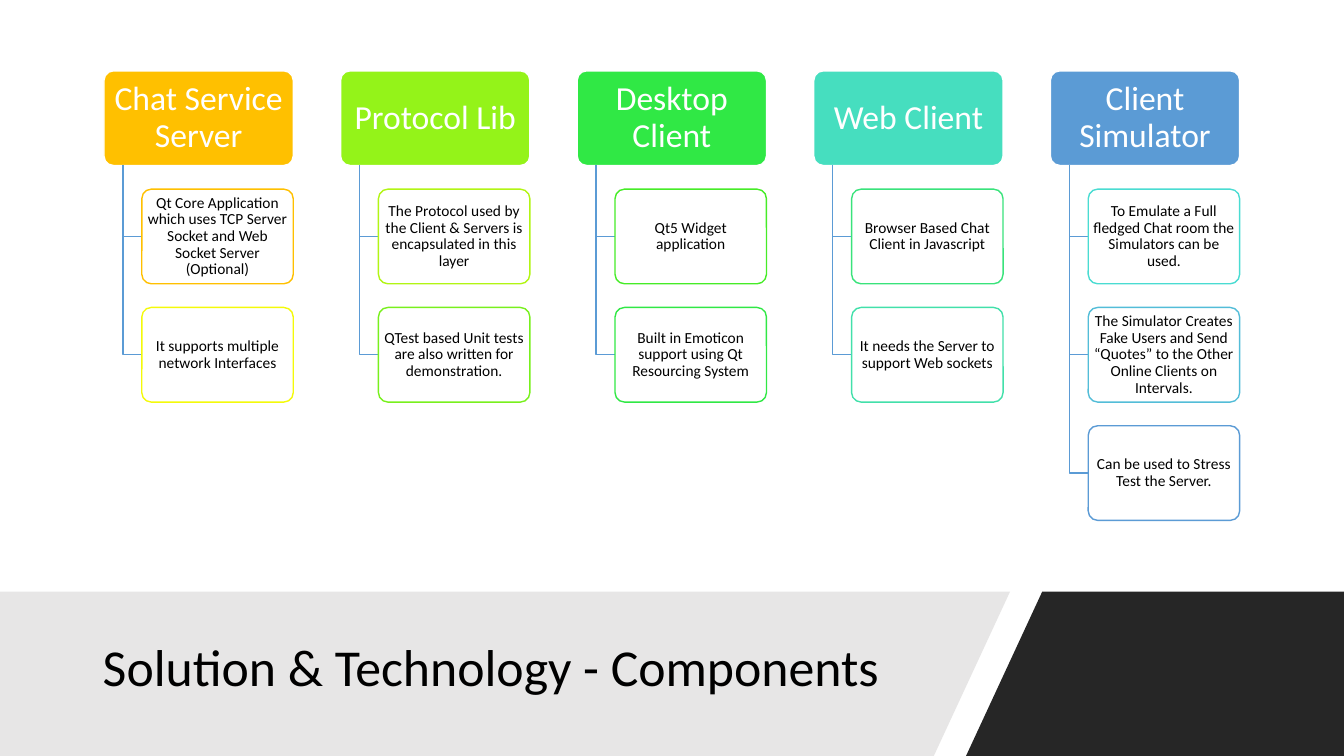
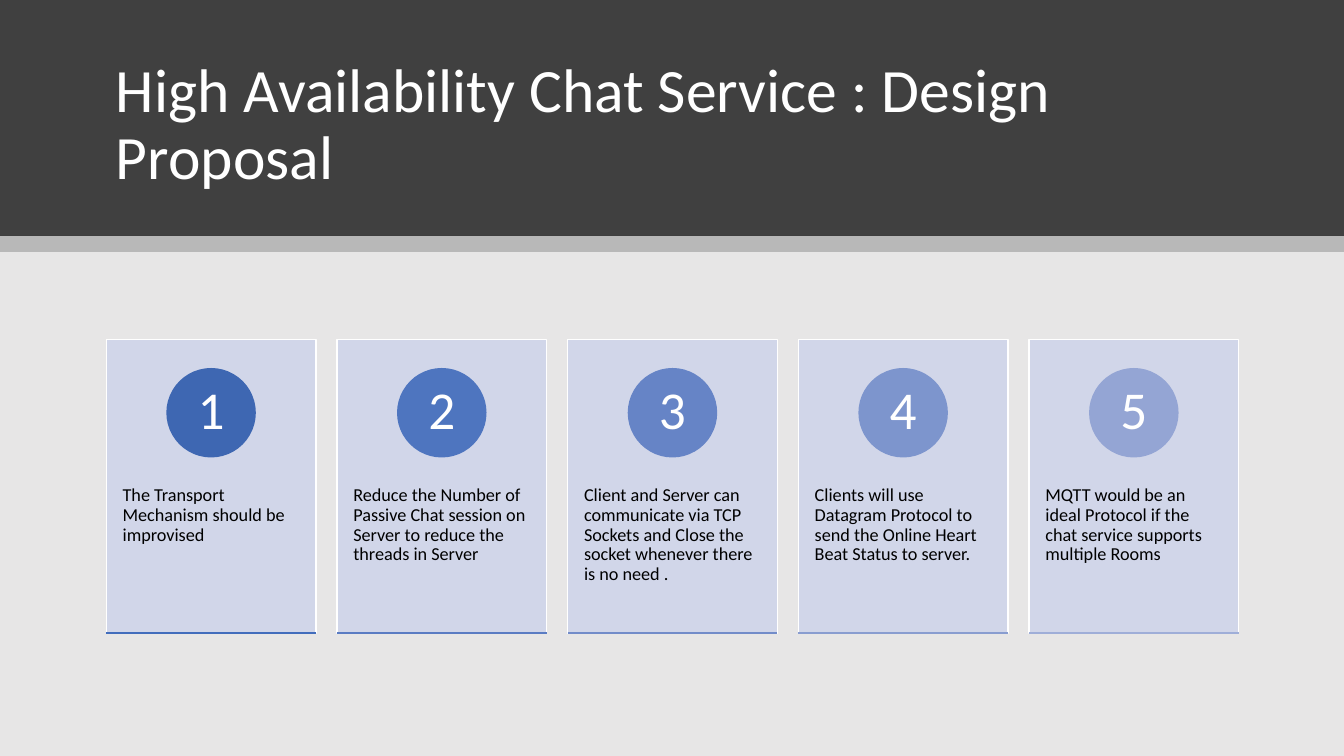
from lxml import etree
from pptx import Presentation
from pptx.dml.color import RGBColor
from pptx.enum.shapes import MSO_CONNECTOR, MSO_SHAPE
from pptx.enum.text import MSO_ANCHOR, MSO_AUTO_SIZE, PP_ALIGN
from pptx.oxml.ns import qn
from pptx.util import Pt

LEFT, CENTER = PP_ALIGN.LEFT, PP_ALIGN.CENTER
TOP, MIDDLE, BOTTOM = MSO_ANCHOR.TOP, MSO_ANCHOR.MIDDLE, MSO_ANCHOR.BOTTOM
NO_FIT = MSO_AUTO_SIZE.NONE
RECT, ROUND, OVAL = MSO_SHAPE.RECTANGLE, MSO_SHAPE.ROUNDED_RECTANGLE, MSO_SHAPE.OVAL
STRAIGHT = MSO_CONNECTOR.STRAIGHT

W, H = 960, 540
FONT = "Calibri"
WHITE, BLACK = "FFFFFF", "000000"
GRAY, DARK, CHARCOAL = "E7E6E6", "262626", "404040"
STEM, CARD = "5B9BD5", "CFD5EA"

COMPONENTS = [
    ("Chat Service Server", "FFC000", [
        ("Qt Core Application which uses TCP Server Socket and Web Socket Server (Optional)", "FFC000"),
        ("It supports multiple network Interfaces", "F4FA0A")]),
    ("Protocol Lib", "94F319", [
        ("The Protocol used by the Client & Servers is encapsulated in this layer", "B2F514"),
        ("QTest based Unit tests are also written for demonstration.", "78F01D")]),
    ("Desktop Client", "30E845", [
        ("Qt5 Widget application", "46EC27"),
        ("Built in Emoticon support using Qt Resourcing System", "30E845")]),
    ("Web Client", "46DEBF", [
        ("Browser Based Chat Client in Javascript", "39E37B"),
        ("It needs the Server to support Web sockets", "42E0AA")]),
    ("Client Simulator", "5B9BD5", [
        ("To Emulate a Full fledged Chat room the Simulators can be used.", "4ADCD2"),
        ("The Simulator Creates Fake Users and Send “Quotes” to the Other Online Clients on Intervals.", "53BDD8"),
        ("Can be used to Stress Test the Server.", "5B9BD5")]),
]

PROPOSALS = [
    ("The Transport Mechanism should be improvised", "3E67B2", "426DBC"),
    ("Reduce the Number of Passive Chat session on Server to reduce the threads in Server", "4E75BF", "5A7CC3"),
    ("Client and Server can communicate via TCP Sockets and Close the socket whenever there is no need .",
     "6684C6", "728CC9"),
    ("Clients will use Datagram Protocol to send the Online Heart Beat Status to server.", "7D95CD", "899DD0"),
    ("MQTT would be an ideal Protocol if the chat service supports multiple Rooms", "94A5D4", "9FAED8"),
]


def rgb(value):
    return RGBColor.from_string(value)


def paint(sp, fill=None, line=None, alpha=None):
    sp.shadow.inherit = False
    if fill:
        sp.fill.solid()
        sp.fill.fore_color.rgb = rgb(fill)
        if alpha:
            color = sp.element.spPr.find(qn("a:solidFill"))[0]
            etree.SubElement(color, qn("a:alpha")).set("val", str(alpha * 1000))
    else:
        sp.fill.background()
    if line:
        sp.line.color.rgb = rgb(line)
        sp.line.width = Pt(1)
    else:
        sp.line.fill.background()


def add_box(s, kind, x, y, w, h, **style):
    sp = s.shapes.add_shape(kind, Pt(x), Pt(y), Pt(w), Pt(h))
    if kind == ROUND:
        sp.adjustments[0] = 0.1
    paint(sp, **style)
    return sp


def add_path(s, points, closed, **style):
    start, *rest = [(Pt(x), Pt(y)) for x, y in points]
    builder = s.shapes.build_freeform(*start)
    builder.add_line_segments(rest, close=closed)
    paint(builder.convert_to_shape(), **style)


def add_rule(s, x1, x2, y, color):
    sp = s.shapes.add_connector(STRAIGHT, Pt(x1), Pt(y), Pt(x2), Pt(y))
    sp.line.color.rgb = rgb(color)
    sp.line.width = Pt(1)
    etree.SubElement(sp.element.spPr, qn("a:effectLst"))


def write(sp, text, size, color=BLACK, align=CENTER, anchor=MIDDLE, insets=(7.2, 3.6, 7.2, 3.6)):
    tf = sp.text_frame
    tf.word_wrap = True
    tf.auto_size = NO_FIT
    tf.vertical_anchor = anchor
    tf.margin_left, tf.margin_top, tf.margin_right, tf.margin_bottom = map(Pt, insets)
    p = tf.paragraphs[0]
    p.alignment = align
    p.line_spacing = 0.9
    r = p.add_run()
    r.text = text
    r.font.name = FONT
    r.font.size = Pt(size)
    r.font.color.rgb = rgb(color)


def add_title(s, text, x, y, w, h, **style):
    title = s.shapes.title
    title.left, title.top, title.width, title.height = Pt(x), Pt(y), Pt(w), Pt(h)
    write(title, text, align=LEFT, **style)
    s.shapes.element.append(title.element)


def new_slide(prs, background):
    s = prs.slides.add_slide(prs.slide_layouts[5])
    s.background.fill.solid()
    s.background.fill.fore_color.rgb = rgb(background)
    return s


def add_footer_band(s, y, title):
    add_path(s, [(744.5, y), (W, y), (W, H), (690, H)], True, fill=DARK)
    add_path(s, [(0, y), (721.5, y), (667, H), (0, H)], True, fill=GRAY)
    add_title(s, title, 66.2, y + 13, 608, 86.4, size=37)


def add_header_band(s, h, title):
    add_box(s, RECT, 0, 0, W, h, fill=CHARCOAL)
    add_box(s, RECT, 0, h, W, 11.5, fill=BLACK, alpha=20)
    add_title(s, title, 75.6, 33.8, 809, 107.3, size=44, color=WHITE, anchor=BOTTOM)


def add_component(s, x, y, w, name, color, details):
    h = w / 2
    head = add_box(s, ROUND, x, y, w, h, fill=color, line=WHITE)
    write(head, name, 24, color=WHITE, insets=(3.6, 2.4, 3.6, 2.4))
    stem_x, leaf_x = x + w * 0.1, x + w * 0.2
    for i, (text, outline) in enumerate(details, 1):
        leaf_y = y + i * h * 1.25
        mid = leaf_y + h / 2
        add_path(s, [(stem_x, y + h), (stem_x, mid), (leaf_x, mid)], False, line=STEM)
        leaf = add_box(s, ROUND, leaf_x, leaf_y, w * 0.8, h, fill=WHITE, line=outline, alpha=90)
        write(leaf, text, 11, insets=(1.6, 1.6, 1.6, 1.6))


def add_card(s, x, y, w, number, text, color, rule):
    h = w * 1.4
    d = h * 0.3
    card = add_box(s, RECT, x, y, w, h, fill=CARD, line=WHITE, alpha=90)
    write(card, text, 13, align=LEFT, anchor=TOP, insets=(11.7, h * 0.5, 11.7, 0))
    badge = add_box(s, OVAL, x + (w - d) / 2, y + h * 0.1, d, d, fill=color, line=color)
    write(badge, str(number), 38, color=WHITE, insets=(4.9, 1, 4.9, 1))
    add_rule(s, x, x + w, y + h, rule)


def components_slide(prs):
    s = new_slide(prs, WHITE)
    w = 135.2
    for i, component in enumerate(COMPONENTS):
        add_component(s, 74.3 + i * w * 1.25, 50.6, w, *component)
    add_footer_band(s, 422.5, "Solution & Technology - Components")


def proposal_slide(prs):
    s = new_slide(prs, GRAY)
    add_header_band(s, 168.5, "High Availability Chat Service : Design Proposal")
    w = 149.8
    for i, proposal in enumerate(PROPOSALS):
        add_card(s, 75.9 + i * w * 1.1, 242.4, w, i + 1, *proposal)


def main():
    prs = Presentation()
    prs.slide_width, prs.slide_height = Pt(W), Pt(H)
    components_slide(prs)
    proposal_slide(prs)
    prs.save("out.pptx")


if __name__ == "__main__":
    main()
